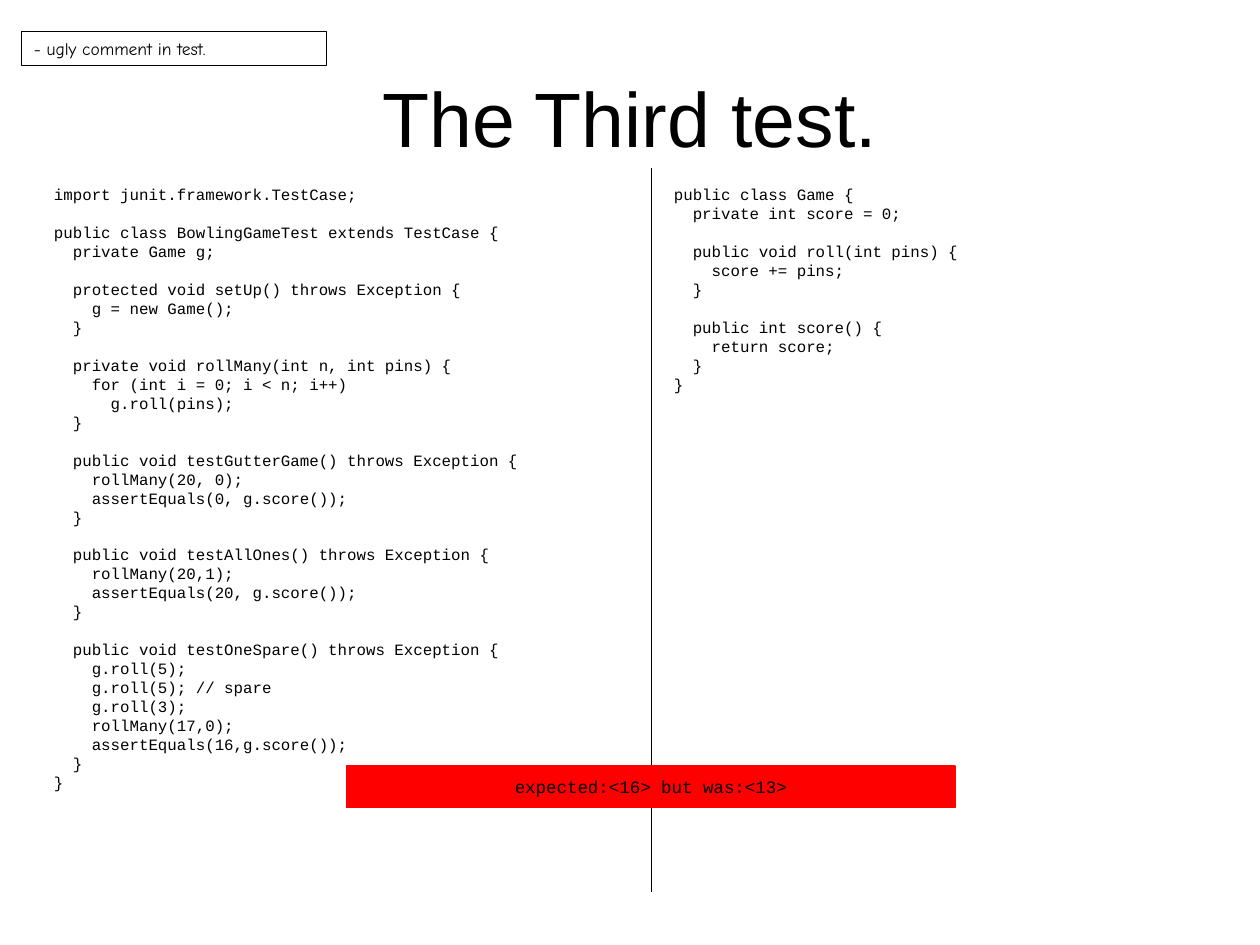
import pptx
import pptx.dml.color
import pptx.enum.shapes
import pptx.enum.text
import pptx.oxml.ns
import pptx.util
from lxml import etree
from pptx.util import Inches

BLACK = pptx.dml.color.RGBColor(0x00, 0x00, 0x00)
RED = pptx.dml.color.RGBColor(0xFF, 0x00, 0x00)
CODE_FONT = "Courier New"
LINE_PITCH = pptx.util.Pt(10.84)
ALIGN = pptx.enum.text.PP_ALIGN
ANCHOR = pptx.enum.text.MSO_ANCHOR
AUTO = pptx.enum.text.MSO_AUTO_SIZE

TEST_CODE = """import junit.framework.TestCase;

public class BowlingGameTest extends TestCase {
  private Game g;

  protected void setUp() throws Exception {
    g = new Game();
  }

  private void rollMany(int n, int pins) {
    for (int i = 0; i < n; i++)
      g.roll(pins);
  }

  public void testGutterGame() throws Exception {
    rollMany(20, 0);
    assertEquals(0, g.score());
  }

  public void testAllOnes() throws Exception {
    rollMany(20,1);
    assertEquals(20, g.score());
  }

  public void testOneSpare() throws Exception {
    g.roll(5);
    g.roll(5); // spare
    g.roll(3);
    rollMany(17,0);
    assertEquals(16,g.score());
  }
}"""

GAME_CODE = """public class Game {
  private int score = 0;

  public void roll(int pins) {
    score += pins;
  }

  public int score() {
    return score;
  }
}"""


def write_text(sp, text, font=CODE_FONT, size=10, align=ALIGN.LEFT,
               anchor=ANCHOR.TOP, wrap=True, auto_size=AUTO.NONE, pitch=None):
    tf = sp.text_frame
    tf.word_wrap = wrap
    tf.auto_size = auto_size
    tf.vertical_anchor = anchor
    p = tf.paragraphs[0]
    gap = False
    for i, line in enumerate(text.split("\n")):
        if not line:
            gap = True
            continue
        if i:
            p = tf.add_paragraph()
        p.alignment = align
        if pitch:
            p.line_spacing = pitch
        if gap:
            p.space_before = pitch
            gap = False
        r = p.add_run()
        r.text = line
        r.font.name = font
        r.font.size = pptx.util.Pt(size)
        r.font.color.rgb = BLACK


prs = pptx.Presentation()
prs.slide_width = Inches(10)
prs.slide_height = Inches(7.5)
s = prs.slides.add_slide(prs.slide_layouts[5])

title = s.shapes.title
title.left, title.top = Inches(0.5), Inches(0.3)
title.width, title.height = Inches(9), Inches(1.25)
write_text(title, "The Third test.", font="Arial", size=44,
           align=ALIGN.CENTER, anchor=ANCHOR.MIDDLE)

for left, height, code in ((0.33, 4.92, TEST_CODE), (5.25, 1.91, GAME_CODE)):
    sp = s.shapes.add_textbox(Inches(left), Inches(1.42), Inches(4.42), Inches(height))
    write_text(sp, code, size=9, auto_size=AUTO.SHAPE_TO_FIT_TEXT, pitch=LINE_PITCH)

divider = s.shapes.add_connector(pptx.enum.shapes.MSO_CONNECTOR.STRAIGHT,
                                 Inches(5.17), Inches(1.33), Inches(5.17), Inches(7.08))
divider.line.color.rgb = BLACK
divider.line.width = pptx.util.Pt(0.75)
etree.SubElement(divider.element.spPr, pptx.oxml.ns.qn("a:effectLst"))

RECT = pptx.enum.shapes.MSO_SHAPE.RECTANGLE
note = s.shapes.add_shape(RECT, Inches(0.17), Inches(0.25), Inches(2.42), Inches(0.27))
note.fill.background()
write_text(note, "- ugly comment in test.", font="Comic Neue",
           auto_size=AUTO.SHAPE_TO_FIT_TEXT)

result = s.shapes.add_shape(RECT, Inches(2.75), Inches(6.08), Inches(4.83), Inches(0.33))
result.fill.solid()
result.fill.fore_color.rgb = RED
write_text(result, "expected:<16> but was:<13>", align=ALIGN.CENTER,
           anchor=ANCHOR.MIDDLE, wrap=False)

for sp, color in ((note, BLACK), (result, RED)):
    sp.shadow.inherit = False
    sp.line.color.rgb = color
    sp.line.width = pptx.util.Pt(0.75)

prs.save("out.pptx")
